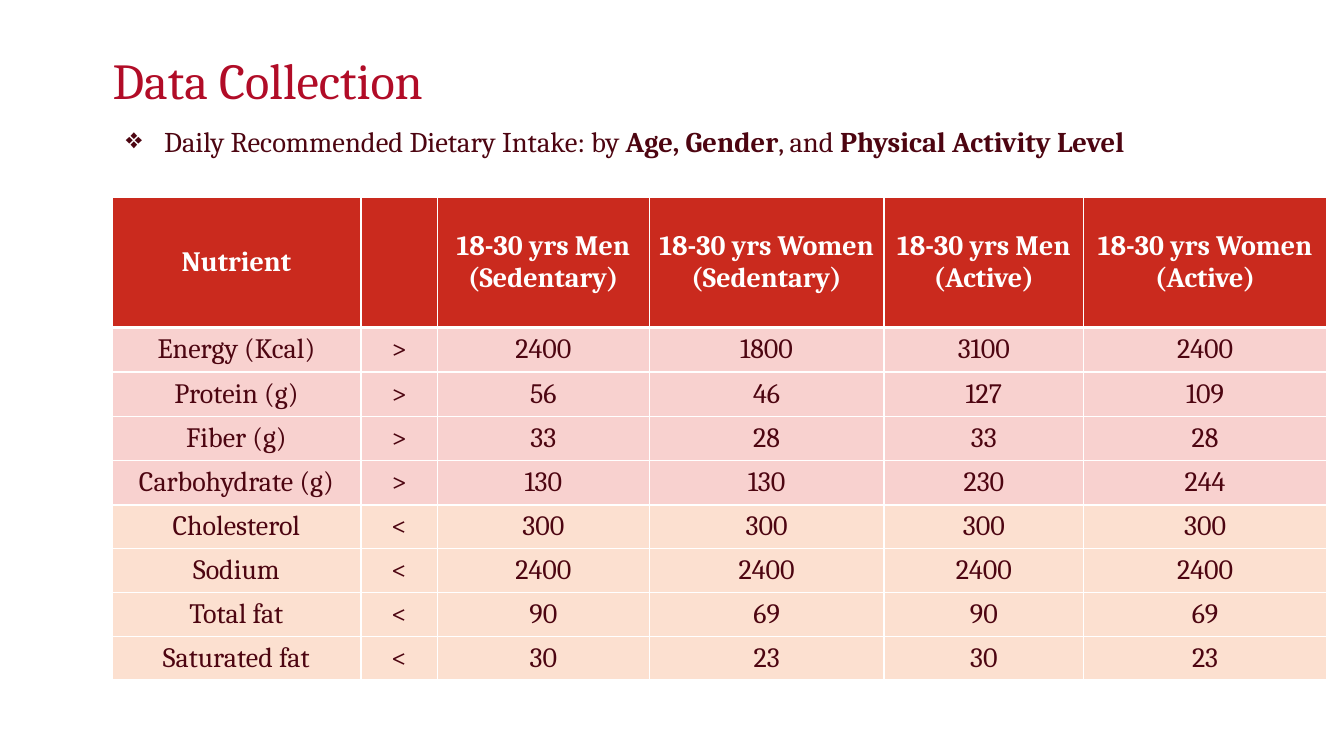
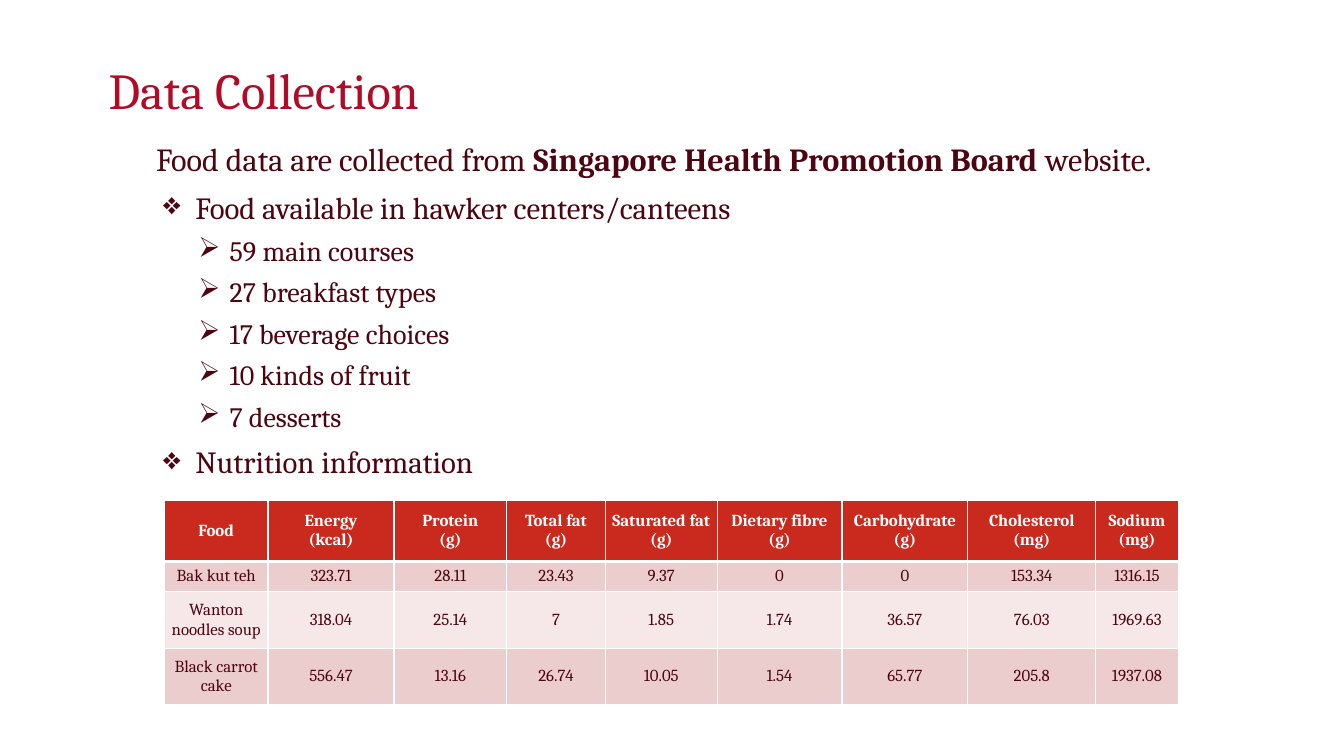
import dataclasses

import lxml.etree
import pptx
import pptx.dml.color
import pptx.enum.text
import pptx.oxml.ns
import pptx.util

qn = pptx.oxml.ns.qn


@dataclasses.dataclass(frozen=True)
class Theme:
    font: str = "Cambria"
    title: str = "B10C27"
    ink: str = "4D0511"
    white: str = "FFFFFF"
    header: str = "CA2A1E"
    pink: str = "F8D1CF"
    peach: str = "FCE0D0"
    band_dark: str = "ECCDCD"
    band_light: str = "F6E8E8"
    title_size: float = 36
    lead_size: float = 23
    item_size: float = 22
    text_size: float = 20
    note_size: float = 20.4
    small_size: float = 12
    rule: float = 1
    header_rule: float = 3


@dataclasses.dataclass(frozen=True)
class Level:
    """Paragraph style: size in points, indents in inches."""
    size: float
    left: float = 0
    hang: float = 0
    bullet: str = ""
    depth: int = 0
    before: float = 0
    spacing: float = 0.9


T = Theme()
TITLE = Level(T.title_size, spacing=0.85)
NOTE = Level(T.note_size, 0.42, 0.38, "❖", spacing=0.8)
LEAD = Level(T.lead_size, 0.33)
ITEM = Level(T.item_size, 0.72, 0.32, "❖", 1, 10)
SUBITEM = Level(T.text_size, 1.06, 0.31, "➢", 2, 8)


class Deck:
    """Holds the theme and the current slide; boxes are in % of the slide."""

    def __init__(self, theme):
        self.theme = theme
        self.prs = pptx.Presentation()
        self.prs.slide_width = pptx.util.Inches(13.33)
        self.prs.slide_height = pptx.util.Inches(7.5)
        self.s = None

    def new_slide(self):
        self.s = self.prs.slides.add_slide(self.prs.slide_layouts[6])

    def x(self, share):
        return int(self.prs.slide_width * share / 100)

    def y(self, share):
        return int(self.prs.slide_height * share / 100)

    def style(self, r, size, color, bold=False):
        r.font.name = self.theme.font
        r.font.size = pptx.util.Pt(size)
        r.font.bold = bold
        r.font.color.rgb = pptx.dml.color.RGBColor.from_string(color)

    def bullet(self, p, level):
        pPr = p._p.get_or_add_pPr()
        pPr.set("marL", str(pptx.util.Inches(level.left)))
        pPr.set("indent", str(pptx.util.Inches(-level.hang)))
        if level.bullet:
            clr = lxml.etree.SubElement(pPr, qn("a:buClr"))
            lxml.etree.SubElement(clr, qn("a:srgbClr"), val=self.theme.ink)
            lxml.etree.SubElement(pPr, qn("a:buChar"), char=level.bullet)

    def text(self, x, y, w, h, paragraphs, color=None):
        """Add (level, text) paragraphs; ** switches bold on and off."""
        sp = self.s.shapes.add_textbox(self.x(x), self.y(y), self.x(w), self.y(h))
        tf = sp.text_frame
        tf.word_wrap = True
        for i, (level, text) in enumerate(paragraphs):
            p = tf.add_paragraph() if i else tf.paragraphs[0]
            self.bullet(p, level)
            p.level = level.depth
            p.line_spacing = level.spacing
            if i:
                p.space_before = pptx.util.Pt(level.before)
            for j, part in enumerate(text.split("**")):
                r = p.add_run()
                r.text = part
                self.style(r, level.size, color or self.theme.ink, j % 2 == 1)

    def title(self, x, y, text):
        self.text(x, y, 33, 10, [(TITLE, text)], self.theme.title)

    def borders(self, cell, top, bottom):
        tcPr = cell._tc.get_or_add_tcPr()
        rule = self.theme.rule
        for side, width in zip("LRTB", (rule, rule, top, bottom)):
            ln = lxml.etree.SubElement(tcPr, qn(f"a:ln{side}"),
                                       w=str(pptx.util.Pt(width)))
            fill = lxml.etree.SubElement(ln, qn("a:solidFill"))
            lxml.etree.SubElement(fill, qn("a:srgbClr"), val=self.theme.white)

    def table(self, x, y, w, columns, heights, rows, fills, size, inset=None):
        """Columns are relative widths; heights are shares of the slide."""
        t = self.theme
        table = self.s.shapes.add_table(
            len(rows), len(columns), self.x(x), self.y(y),
            self.x(w), self.y(sum(heights))).table
        table.horz_banding = False
        for col, width in zip(table.columns, columns):
            col.width = int(self.x(w) * width / sum(columns))
        for i, (row, height, fill) in enumerate(zip(rows, heights, fills)):
            table.rows[i].height = self.y(height)
            for cell, text in zip(table.rows[i].cells, row):
                self.borders(cell, t.header_rule if i == 1 else t.rule,
                             t.rule if i else t.header_rule)
                cell.fill.solid()
                cell.fill.fore_color.rgb = pptx.dml.color.RGBColor.from_string(fill)
                cell.vertical_anchor = pptx.enum.text.MSO_ANCHOR.MIDDLE
                if inset is not None:
                    cell.margin_left = cell.margin_right = inset
                    cell.margin_top = cell.margin_bottom = inset
                cell.text_frame.text = text
                for p in cell.text_frame.paragraphs:
                    p.alignment = pptx.enum.text.PP_ALIGN.CENTER
                    for r in p.runs:
                        self.style(r, size, t.ink if i else t.white, i == 0)


def intake_slide(deck):
    deck.new_slide()
    deck.text(8.33, 16.67, 84.1, 7.87, [
        (NOTE, "Daily Recommended Dietary Intake: by **Age, Gender**, "
               "and **Physical Activity Level**")])
    # Recommended intake: minimums first, then maximums
    rows = [
        ("Nutrient", "", "18-30 yrs Men (Sedentary)",
         "18-30 yrs Women\n(Sedentary)", "18-30 yrs Men\n(Active)",
         "18-30 yrs Women\n(Active)"),
        ("Energy (Kcal)", ">", "2400", "1800", "3100", "2400"),
        ("Protein (g)", ">", "56", "46", "127", "109"),
        ("Fiber (g)", ">", "33", "28", "33", "28"),
        ("Carbohydrate (g)", ">", "130", "130", "230", "244"),
        ("Cholesterol", "<", "300", "300", "300", "300"),
        ("Sodium", "<", "2400", "2400", "2400", "2400"),
        ("Total fat", "<", "90", "69", "90", "69"),
        ("Saturated fat", "<", "30", "23", "30", "23"),
    ]
    deck.table(8.33, 26.13, 90.38, (2.47, 0.76, 2.1, 2.33, 1.98, 2.41),
               [17.2] + [5.87] * 4 + [5.2] * 4, rows,
               [T.header] + [T.pink] * 4 + [T.peach] * 4, T.text_size)
    deck.title(7.65, 7.07, "Data Collection")


def food_slide(deck):
    deck.new_slide()
    deck.title(7.35, 8.4, "Data Collection")
    # Source and contents of the food data
    counts = ("59 main courses", "27 breakfast types", "17 beverage choices",
              "10 kinds of fruit", "7 desserts")
    deck.text(8.4, 18.4, 83.3, 45.5, [
        (LEAD, "Food data are collected from "
               "**Singapore Health Promotion Board **website."),
        (ITEM, "Food available in hawker centers/canteens"),
        *((SUBITEM, count) for count in counts),
        (ITEM, "Nutrition information")])
    # Nutrition per dish
    rows = [
        ("Food", "Energy\n(kcal)", "Protein\n(g)", "Total fat\n(g)",
         "Saturated fat\n(g)", "Dietary fibre\n(g)", "Carbohydrate (g)",
         "Cholesterol\n(mg)", "Sodium (mg)"),
        ("Bak kut teh", "323.71", "28.11", "23.43", "9.37", "0", "0",
         "153.34", "1316.15"),
        ("Wanton noodles soup", "318.04", "25.14", "7", "1.85", "1.74",
         "36.57", "76.03", "1969.63"),
        ("Black carrot cake", "556.47", "13.16", "26.74", "10.05", "1.54",
         "65.77", "205.8", "1937.08"),
    ]
    deck.table(12.23, 66.13, 75.45,
               (1.03, 1.25, 1.12, 0.98, 1.11, 1.24, 1.25, 1.27, 0.82),
               (8.13, 4, 7.47, 7.47), rows,
               (T.header, T.band_dark, T.band_light, T.band_dark),
               T.small_size, inset=0)


def main():
    deck = Deck(T)
    intake_slide(deck)
    food_slide(deck)
    deck.prs.save("out.pptx")


if __name__ == "__main__":
    main()
